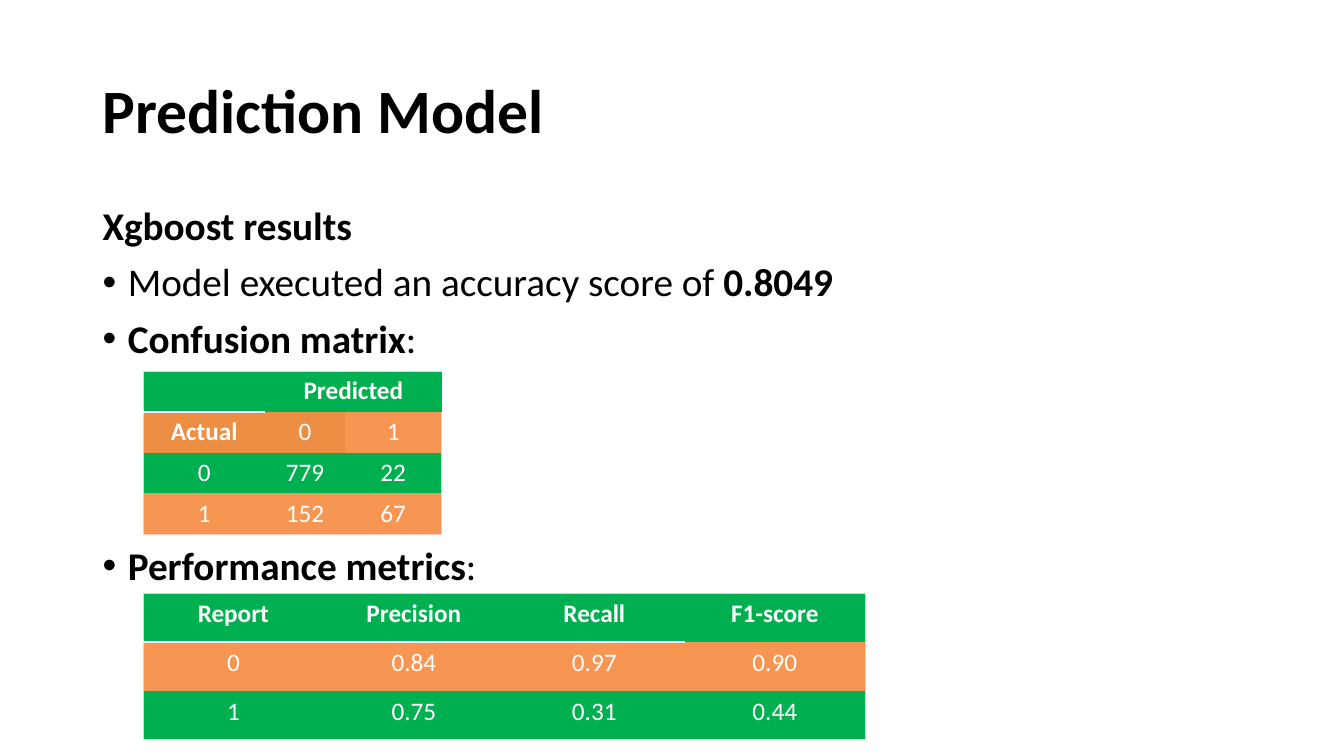
from lxml import etree
from pptx import Presentation
from pptx import util as u
from pptx.dml.color import RGBColor
from pptx.enum import text
from pptx.oxml import ns

COLORS = {"black": "000000", "white": "FFFFFF", "green": "00B050",
          "orange": "F79653", "dark_orange": "EC8F44", "edge": "F6CCBE"}
FONT = "Calibri"
NO_STYLE = "{2D5ABB26-0587-4C30-8999-92F81FD0307C}"


def style_runs(paragraph, size, color, bold):
    """Give every run of the paragraph the same font."""
    for run in paragraph.runs:
        run.font.name = FONT
        run.font.size = u.Pt(size)
        run.font.bold = bold
        run.font.color.rgb = RGBColor.from_string(COLORS[color])


def add_border(cell, side, color, points):
    """Draw one side (L, R, T or B) of a table cell."""
    properties = cell._tc.get_or_add_tcPr()
    line = etree.SubElement(properties, ns.qn("a:ln" + side), w=str(u.Pt(points)))
    fill = etree.SubElement(line, ns.qn("a:solidFill"))
    etree.SubElement(fill, ns.qn("a:srgbClr"), val=COLORS[color])


presentation = Presentation()
presentation.slide_width = u.Inches(13.33)
presentation.slide_height = u.Inches(7.5)
slide = presentation.slides.add_slide(presentation.slide_layouts[6])

# Title and body: each paragraph is (bulleted, space before, [(words, bold), ...])
title = [(False, 0, [("Prediction Model", True)])]
body = [
    (False, 10, [("Xgboost results", True)]),
    (True, 10, [("Model executed an accuracy score of ", False), ("0.8049", True)]),
    (True, 10, [("Confusion matrix", True), (": ", False)]),
    (True, 132, [("Performance metrics", True), (": ", False)]),
]
for top, height, size, anchor, paragraphs in [
    (0.4, 1.45, 44, text.MSO_ANCHOR.MIDDLE, title),
    (2, 4.76, 28, text.MSO_ANCHOR.TOP, body),
]:
    box = slide.shapes.add_textbox(
        u.Inches(0.92), u.Inches(top), u.Inches(11.5), u.Inches(height))
    frame = box.text_frame
    frame.word_wrap = True
    frame.vertical_anchor = anchor
    for index, (bulleted, space, pieces) in enumerate(paragraphs):
        paragraph = frame.add_paragraph() if index else frame.paragraphs[0]
        paragraph.line_spacing = 0.9
        paragraph.space_before = u.Pt(space)
        for words, bold in pieces:
            paragraph.add_run().text = words
        style_runs(paragraph, size, "black", False)
        for run, (words, bold) in zip(paragraph.runs, pieces):
            run.font.bold = bold
        if bulleted:
            properties = paragraph._p.get_or_add_pPr()
            properties.set("marL", str(u.Inches(0.25)))
            properties.set("indent", str(-u.Inches(0.25)))
            etree.SubElement(properties, ns.qn("a:buFont"), typeface="Arial")
            etree.SubElement(properties, ns.qn("a:buChar"), char="•")

# Tables: top, row height, column widths, row colours, underlined header cells, values
confusion_matrix = [["", "Predicted", ""], ["Actual", "0", "1"],
                    ["0", "779", "22"], ["1", "152", "67"]]
performance = [["Report", "Precision", "Recall", "F1-score"],
               ["0", "0.84", "0.97", "0.90"], ["1", "0.75", "0.31", "0.44"]]
tables = []
for top, row_height, widths, underlined, values in [
    (3.68, 0.405, [1.21, 0.79, 0.96], 1, confusion_matrix),
    (5.89, 0.483, [1.79] * 4, 3, performance),
]:
    rows, columns = len(values), len(widths)
    table = slide.shapes.add_table(
        rows, columns, u.Inches(1.42), u.Inches(top),
        u.Inches(sum(widths)), u.Inches(rows * row_height)).table
    table.first_row = table.horz_banding = False
    table._tbl.tblPr.find(ns.qn("a:tableStyleId")).text = NO_STYLE
    for column, width in zip(table.columns, widths):
        column.width = u.Inches(width)
    for r, row in enumerate(values):
        table.rows[r].height = u.Inches(row_height)
        for c, value in enumerate(row):
            cell = table.cell(r, c)
            for side, on_edge in [("L", c == 0), ("R", c == columns - 1),
                                  ("T", r == 0), ("B", r == rows - 1)]:
                if on_edge:
                    add_border(cell, side, "edge", 0.5)
            if r == 0 and c < underlined:
                add_border(cell, "B", "white", 1.5)
            cell.fill.solid()
            cell.fill.fore_color.rgb = RGBColor.from_string(
                COLORS["orange" if r % 2 else "green"])
            cell.text_frame.text = value
            paragraph = cell.text_frame.paragraphs[0]
            paragraph.alignment = text.PP_ALIGN.CENTER
            paragraph.font.size = u.Pt(18)
            style_runs(paragraph, 18, "white", r == 0 or value == "Actual")
    tables.append(table)

matrix = tables[0]
matrix.cell(0, 1).merge(matrix.cell(0, 2))
for c in range(2):
    matrix.cell(1, c).fill.fore_color.rgb = RGBColor.from_string(COLORS["dark_orange"])

presentation.save("out.pptx")
